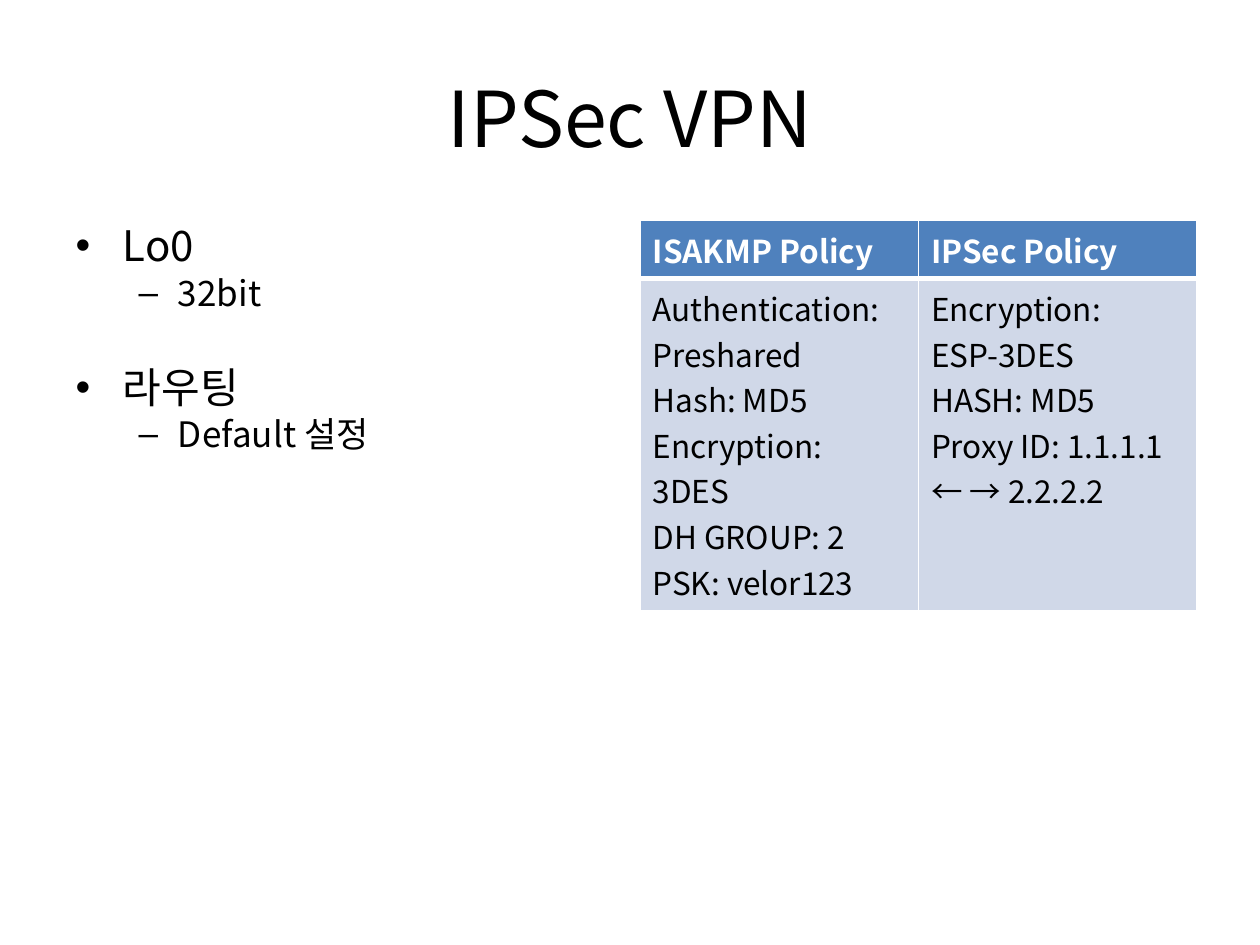
import pptx
import pptx.dml.color
import pptx.enum.text
import pptx.oxml
import pptx.oxml.ns
import pptx.util
from lxml import etree


def color(code):
    return pptx.dml.color.RGBColor.from_string(code)


class Builder:
    """Holds the style and the current page; lengths are shares of the page."""

    FONT = "Noto Sans CJK KR"
    INK, WHITE = "000000", "FFFFFF"
    HEADER_FILL, BODY_FILL = "4F81BD", "D0D8E8"
    BODY_SIZES = (24, 20)

    def __init__(self, deck):
        self.deck = deck
        self.page = deck.slides.add_slide(deck.slide_layouts[1])

    def area(self, left, top, width, height):
        across, down = self.deck.slide_width, self.deck.slide_height
        return (int(left * across), int(top * down),
                int(width * across), int(height * down))

    def place(self, box, share):
        box.left, box.top, box.width, box.height = self.area(*share)

    def style(self, para, size, ink=INK, bold=False):
        font = para.font
        font.name, font.size, font.bold = self.FONT, pptx.util.Pt(size), bold
        font.color.rgb = color(ink)
        # East Asian letters take their font from a separate element
        latin = para._p.pPr.find(".//" + pptx.oxml.ns.qn("a:latin"))
        east = etree.Element(pptx.oxml.ns.qn("a:ea"), typeface=self.FONT)
        latin.addnext(east)

    def title(self, text, share):
        box = self.page.shapes.title
        self.place(box, share)
        box.text_frame.text = text
        para = box.text_frame.paragraphs[0]
        para.alignment = pptx.enum.text.PP_ALIGN.CENTER
        self.style(para, 44)

    def bullets(self, groups, share):
        box = self.page.placeholders[1]
        self.place(box, share)
        frame = box.text_frame
        frame.auto_size = pptx.enum.text.MSO_AUTO_SIZE.NONE
        for number, group in enumerate(groups):
            for level, text in enumerate(group):
                first = number == 0 and level == 0
                para = frame.paragraphs[0] if first else frame.add_paragraph()
                para.text, para.level = text, level
                para.line_spacing = 0.87
                gap = 3.5 if level else 31.5
                para.space_before = pptx.util.Pt(0 if first else gap)
                self.style(para, self.BODY_SIZES[level])

    def border(self, cell, side, points):
        line = etree.SubElement(cell._tc.get_or_add_tcPr(),
                                pptx.oxml.ns.qn("a:ln" + side),
                                w=str(pptx.util.Pt(points)))
        fill = etree.SubElement(line, pptx.oxml.ns.qn("a:solidFill"))
        etree.SubElement(fill, pptx.oxml.ns.qn("a:srgbClr"), val=self.WHITE)

    def table(self, rows, heights, share):
        frame = self.page.shapes.add_table(len(rows), len(rows[0]),
                                           *self.area(*share))
        grid = frame.table
        for r, row in enumerate(rows):
            grid.rows[r].height = pptx.util.Inches(heights[r])
            header = r == 0
            for c, lines in enumerate(row):
                cell = grid.cell(r, c)
                # A thick rule parts the header from the body
                for side in "LRTB":
                    thick = side == ("B" if header else "T")
                    self.border(cell, side, 3 if thick else 1)
                cell.fill.solid()
                cell.fill.fore_color.rgb = color(
                    self.HEADER_FILL if header else self.BODY_FILL)
                cell.text = "\n".join(lines)
                for para in cell.text_frame.paragraphs:
                    self.style(para, 18, self.WHITE if header else self.INK,
                               header)


def main():
    deck = pptx.Presentation()
    deck.slide_width = pptx.util.Inches(10)
    deck.slide_height = pptx.util.Inches(7.5)
    builder = Builder(deck)

    # Heading
    builder.title("IPSec VPN", (0.05, 0.04, 0.9, 1 / 6))

    # Left column: interface and routing
    column, top = 0.442, 0.7 / 3
    builder.bullets([("Lo0", "32bit"), ("라우팅", "Default 설정")],
                    (0.05, top, column, 0.66))

    # Right column: policies
    builder.table(
        [
            [["ISAKMP Policy"], ["IPSec Policy"]],
            [["Authentication: Preshared", "Hash: MD5", "Encryption: 3DES",
              "DH GROUP: 2", "PSK: velor123"],
             ["Encryption: ESP-3DES", "HASH: MD5",
              "Proxy ID: 1.1.1.1 ← → 2.2.2.2"]],
        ],
        (0.41, 1.9), (0.95 - column, top, column, 0.31))

    deck.save("out.pptx")


if __name__ == "__main__":
    main()
